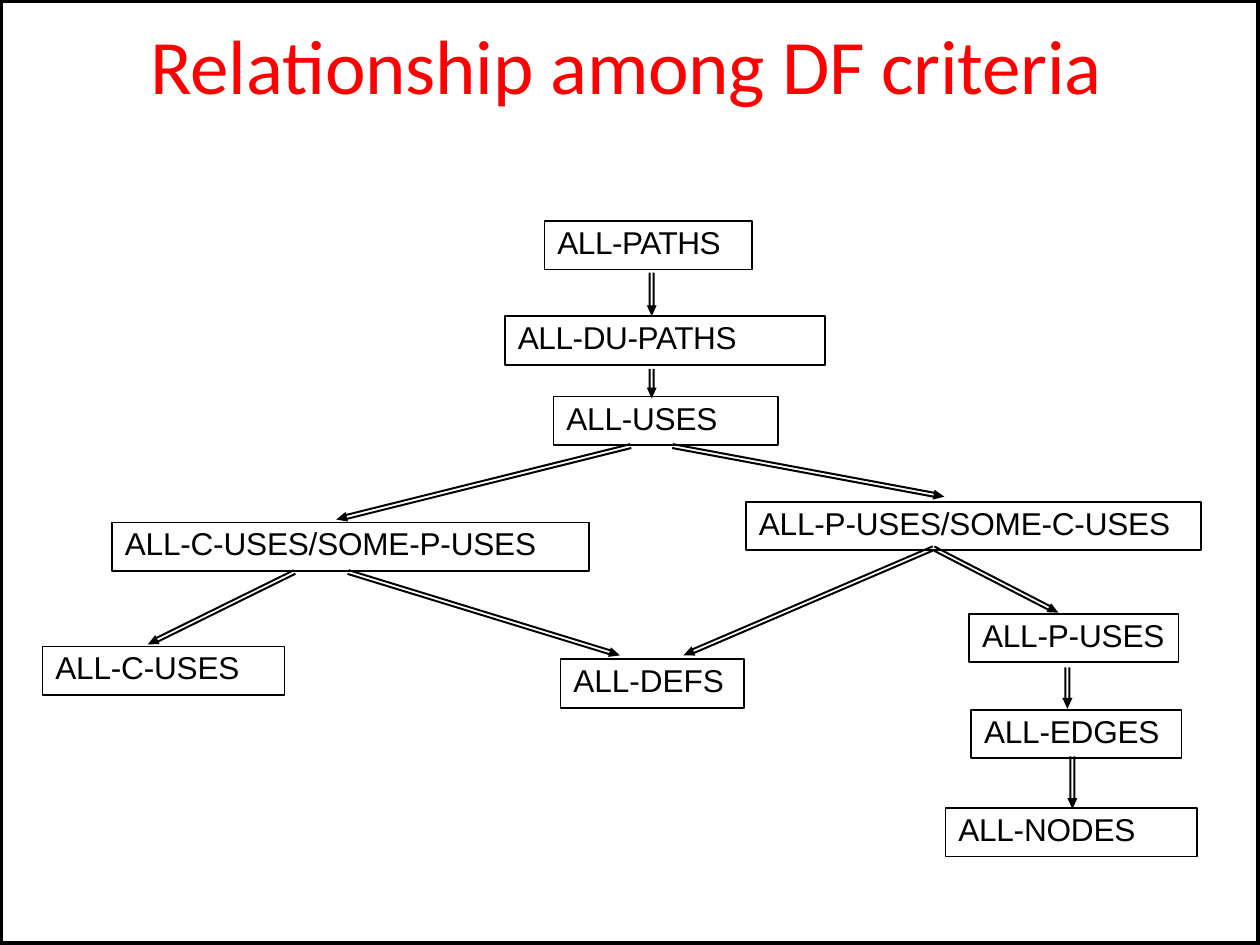
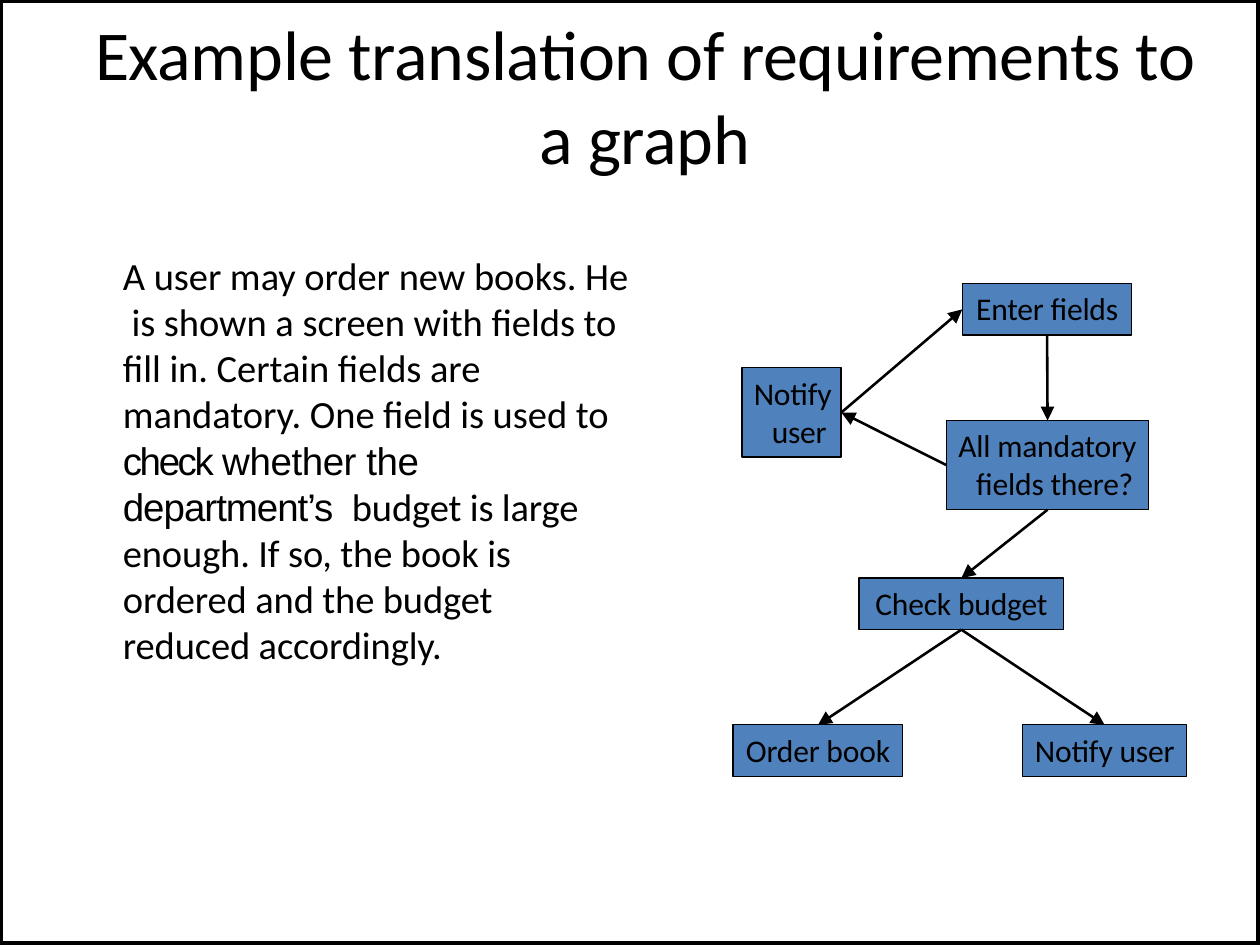
from copy import deepcopy
from math import hypot

from lxml.etree import SubElement
from pptx import Presentation
from pptx.dml.color import RGBColor
from pptx.enum.shapes import MSO_CONNECTOR, MSO_SHAPE
from pptx.enum.text import MSO_ANCHOR, MSO_AUTO_SIZE, PP_ALIGN
from pptx.oxml.ns import qn
from pptx.util import Cm, Pt

WIDTH, HEIGHT = 12.7, 9.53
BLACK, WHITE, RED, BLUE = "000000", "FFFFFF", "FF0000", "4F81BC"
TOP, LEFT, BOTTOM, RIGHT = range(4)

CRITERIA = [
    ("ALL-PATHS", 5.06, 0, 2.09, -0.15),
    ("ALL-DU-PATHS", 4.66, 0.96, 3.23, -0.1),
    ("ALL-USES", 5.15, 1.77, 2.26, -0.05),
    ("ALL-C-USES/SOME-P-USES", 0.7, 3.04, 4.81, -0.05),
    ("ALL-P-USES/SOME-C-USES", 7.09, 2.83, 4.59, -0.05),
    ("ALL-DEFS", 5.22, 4.42, 1.85, 0),
    ("ALL-C-USES", 0, 4.29, 2.44, -0.05),
    ("ALL-P-USES", 9.34, 3.96, 2.11, -0.05),
    ("ALL-EDGES", 9.36, 4.93, 2.12, -0.05),
    ("ALL-NODES", 9.1, 5.92, 2.54, -0.05),
]
IMPLICATIONS = [
    (6.14, 0.52, 6.14, 0.96),
    (6.14, 1.49, 6.14, 1.79),
    (5.93, 2.27, 2.96, 3.01),
    (6.35, 2.27, 9.09, 2.78),
    (2.54, 3.54, 1.06, 4.27),
    (3.08, 3.54, 5.82, 4.38),
    (8.98, 3.3, 6.46, 4.38),
    (8.98, 3.3, 10.24, 3.95),
    (10.33, 4.5, 10.33, 4.92),
    (10.38, 5.4, 10.38, 5.93),
]
STEPS = {
    "enter": ("Enter fields", 2.31, 0, 1.71, 0.52),
    "mandatory": ("All mandatory fields there?", 2.15, 1.38, 2.04, 0.9),
    "check": ("Check budget", 1.27, 2.97, 2.06, 0.52),
    "order": ("Order book", 0, 4.45, 1.71, 0.52),
    "missing": ("Notify user", 0.09, 0.85, 1, 0.9),
    "rejected": ("Notify user", 2.92, 4.45, 1.65, 0.52),
}
TWO_LINES = ("mandatory", "missing")
FLOWS = [
    ("missing", RIGHT, "enter", LEFT),
    ("enter", BOTTOM, "mandatory", TOP),
    ("mandatory", LEFT, "missing", RIGHT),
    ("mandatory", BOTTOM, "check", TOP),
    ("check", BOTTOM, "order", TOP),
    ("check", BOTTOM, "rejected", TOP),
]
REQUIREMENT = [
    ("A user may order new books. He\n is shown a screen with fields to\n"
     "fill in. Certain fields are\nmandatory. One field is used to\n", "Calibri", -0.04),
    ("check ", "Arial", -0.7),
    ("whether the\n", "Arial", -0.15),
    ("department’s ", "Arial", -0.3),
    (" budget is large\nenough. If so, the book is\nordered and the budget\n"
     "reduced accordingly.", "Calibri", -0.06),
]


def rgb(color):
    return RGBColor.from_string(color)


def write(p, text, size=9, font="Calibri", color=BLACK, spacing=-0.05):
    for i, line in enumerate(text.split("\n")):
        if i:
            p.add_line_break()
            p._p[-1].append(deepcopy(r._r.get_or_add_rPr()))
        if line or not i:
            r = p.add_run()
            r.text = line
            r.font.size = Pt(size)
            r.font.name = font
            r.font.color.rgb = rgb(color)
            r._r.get_or_add_rPr().set("spc", str(round(spacing * 100)))


def setup_frame(tf, left=0, top=0.03):
    tf.auto_size = MSO_AUTO_SIZE.NONE
    tf.word_wrap = True
    tf.vertical_anchor = MSO_ANCHOR.TOP
    tf.margin_left, tf.margin_top = Cm(left), Cm(top)
    tf.margin_right = tf.margin_bottom = 0


def add_box(s, left, top, width, height, line=0.5, fill=None):
    sp = s.shapes.add_shape(MSO_SHAPE.RECTANGLE, Cm(left), Cm(top), Cm(width), Cm(height))
    sp.shadow.inherit = False
    sp.line.color.rgb = rgb(BLACK)
    sp.line.width = Pt(line)
    if fill:
        sp.fill.solid()
        sp.fill.fore_color.rgb = rgb(fill)
    else:
        sp.fill.background()
    return sp


def add_criterion(s, text, left, top, width, spacing):
    tf = add_box(s, left, top, width, 0.49).text_frame
    setup_frame(tf, left=0.13, top=0.02)
    tf.paragraphs[0].alignment = PP_ALIGN.LEFT
    write(tf.paragraphs[0], text, font="Arial", spacing=spacing)


def add_step(s, text, left, top, width, height, hanging):
    sp = add_box(s, left, top, width, height, line=0.37, fill=BLUE)
    setup_frame(sp.text_frame, left=0.12 if hanging else 0, top=0.06)
    p = sp.text_frame.paragraphs[0]
    p.alignment = PP_ALIGN.LEFT if hanging else PP_ALIGN.CENTER
    if hanging:
        pPr = p._p.get_or_add_pPr()
        pPr.set("marL", str(Cm(0.18)))
        pPr.set("indent", str(-Cm(0.18)))
    write(p, text)
    return sp


def double_arrow(x1, y1, x2, y2, outer=0.03, inner=0.01, head=0.11, wing=0.05):
    length = hypot(x2 - x1, y2 - y1)
    ux, uy = (x2 - x1) / length, (y2 - y1) / length
    neck = length - head
    outline = [(0, -outer), (neck, -outer), (neck, -wing), (length, 0), (neck, wing),
               (neck, outer), (0, outer), (0, inner), (neck, inner), (neck, -inner), (0, -inner)]
    return [(Cm(x1 + a * ux - b * uy), Cm(y1 + a * uy + b * ux)) for a, b in outline]


def add_double_arrows(s, left, top):
    arrows = [double_arrow(left + x1, top + y1, left + x2, top + y2)
              for x1, y1, x2, y2 in IMPLICATIONS]
    builder = s.shapes.build_freeform(*arrows[0][0])
    for i, points in enumerate(arrows):
        if i:
            builder.move_to(*points[0])
        builder.add_line_segments(points[1:], close=True)
    sp = builder.convert_to_shape()
    sp.shadow.inherit = False
    sp.fill.solid()
    sp.fill.fore_color.rgb = rgb(BLACK)
    sp.line.fill.background()


def add_arrow(s, start, start_side, end, end_side):
    c = s.shapes.add_connector(MSO_CONNECTOR.STRAIGHT, 0, 0, 0, 0)
    c.begin_connect(start, start_side)
    c.end_connect(end, end_side)
    c.line.color.rgb = rgb(BLACK)
    c.line.width = Pt(0.75)
    SubElement(c.line._get_or_add_ln(), qn("a:tailEnd"), type="triangle", w="sm", len="sm")
    SubElement(c._element.spPr, qn("a:effectLst"))


def add_slide(prs, lines, left, top, width, height, align=PP_ALIGN.LEFT, margin=0, **look):
    s = prs.slides.add_slide(prs.slide_layouts[5])
    s.background.fill.solid()
    s.background.fill.fore_color.rgb = rgb(WHITE)
    title = s.shapes.title
    title.left, title.top, title.width, title.height = Cm(left), Cm(top), Cm(width), Cm(height)
    tf = title.text_frame
    setup_frame(tf, left=margin)
    for i, line in enumerate(lines):
        p = tf.add_paragraph() if i else tf.paragraphs[0]
        p.alignment = align
        write(p, line, **look)
    add_box(s, 0, 0, WIDTH, HEIGHT, line=1.92)
    return s


def add_hierarchy(s, left, top):
    for text, x, y, width, spacing in CRITERIA:
        add_criterion(s, text, left + x, top + y, width, spacing)
    add_double_arrows(s, left, top)


def add_requirement(s, left, top, width, height):
    tf = s.shapes.add_textbox(Cm(left), Cm(top), Cm(width), Cm(height)).text_frame
    setup_frame(tf, left=0.03)
    for text, font, spacing in REQUIREMENT:
        write(tf.paragraphs[0], text, size=11, font=font, spacing=spacing)


def add_flow_graph(s, left, top):
    nodes = {
        name: add_step(s, text, left + x, top + y, width, height, name in TWO_LINES)
        for name, (text, x, y, width, height) in STEPS.items()
    }
    for start, start_side, end, end_side in FLOWS:
        add_arrow(s, nodes[start], start_side, nodes[end], end_side)


def main():
    prs = Presentation()
    prs.slide_width, prs.slide_height = Cm(WIDTH), Cm(HEIGHT)

    s = add_slide(prs, ["Relationship among DF criteria"], 1.52, 0.15, 9.73, 1, size=22, color=RED)
    add_hierarchy(s, 0.43, 2.23)

    s = add_slide(prs, ["Example translation of requirements to", "a graph"], 0.57, 0.08, 11.56,
                  1.78, align=PP_ALIGN.CENTER, margin=0.3, size=20, spacing=-0.1)
    add_requirement(s, 1.21, 2.51, 5.3, 3.81)
    add_flow_graph(s, 7.39, 2.86)

    prs.save("out.pptx")


if __name__ == "__main__":
    main()
